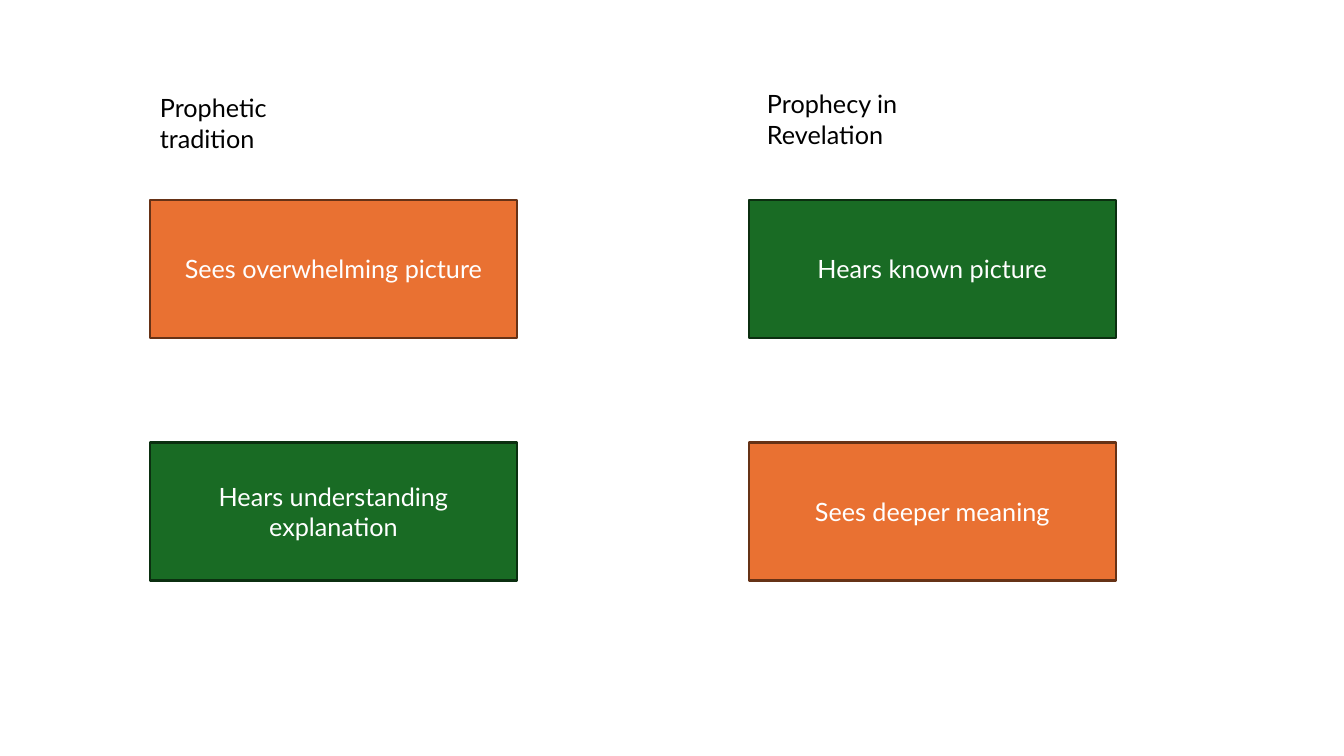
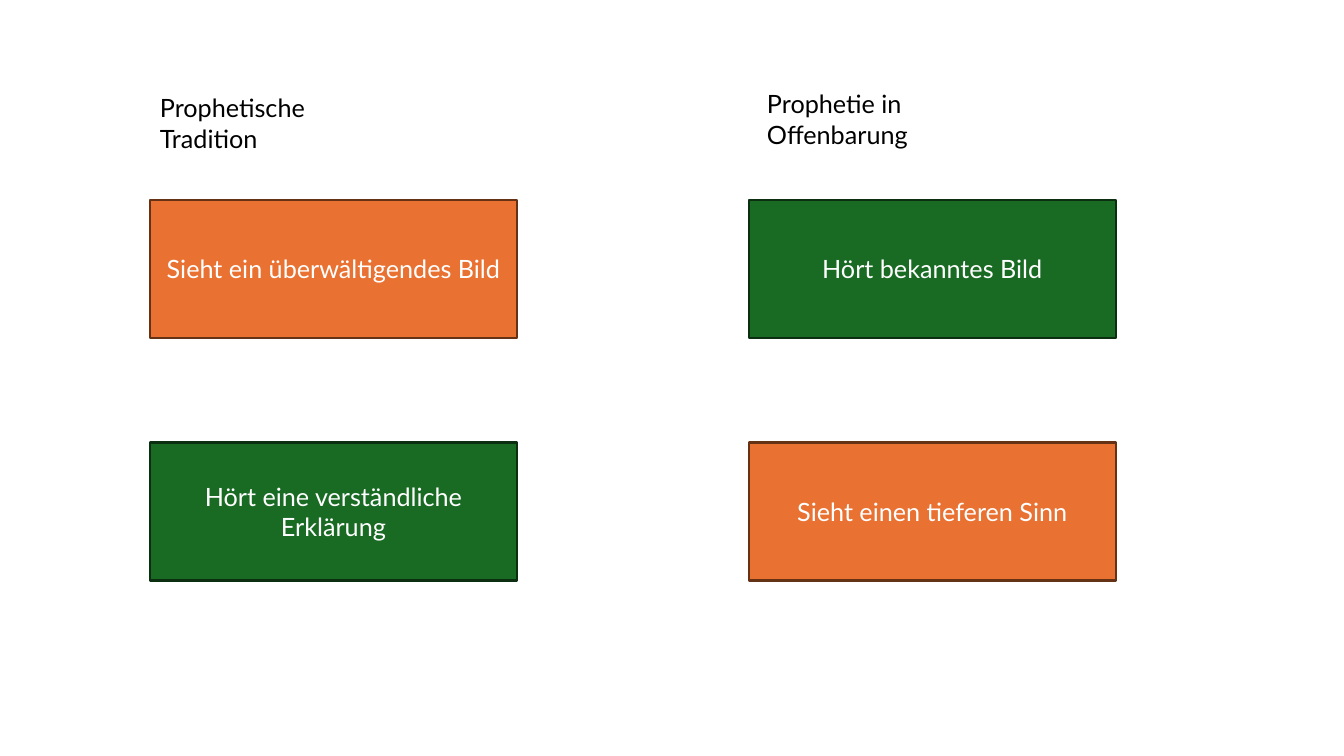
"""Build two slides comparing prophetic tradition with prophecy in Revelation."""
import dataclasses

import pptx
import pptx.dml.color
import pptx.enum.shapes
import pptx.enum.text
import pptx.util

Cm = pptx.util.Cm
RGB = pptx.dml.color.RGBColor.from_string
ALIGN = pptx.enum.text.PP_ALIGN
ANCHOR = pptx.enum.text.MSO_ANCHOR

SLIDES = [
    [
        ("Prophetic tradition", [("sees", "Sees overwhelming picture"), ("hears", "Hears understanding explanation")]),
        ("Prophecy in Revelation", [("hears", "Hears known picture"), ("sees", "Sees deeper meaning")]),
    ],
    [
        ("Prophetische Tradition", [("sees", "Sieht ein überwältigendes Bild"), ("hears", "Hört eine verständliche Erklärung")]),
        ("Prophetie in Offenbarung", [("hears", "Hört bekanntes Bild"), ("sees", "Sieht einen tieferen Sinn")]),
    ],
]


@dataclasses.dataclass(frozen=True)
class Theme:
    font: str = "Lato"
    size: float = 18
    line_width: float = 1.5
    dark_text: str = "000000"
    light_text: str = "FFFFFF"
    sees: tuple = ("E97132", "663216")
    hears: tuple = ("196B24", "0B2F10")


THEME = Theme()
COLUMN_LEFT, COLUMN_STEP = 3.78, 15.09
ROW_TOP, ROW_STEP = 5.03, 6.12
BOX_WIDTH, BOX_HEIGHT = 9.25, 3.48
HEADING_PLACES = [(3.78, 2.21), (19.08, 2.11)]
HEADING_WIDTH, HEADING_HEIGHT = 4.4, 1.78


def write_text(shape, text, *, color, align=ALIGN.LEFT, anchor=ANCHOR.TOP):
    frame = shape.text_frame
    frame.word_wrap = True
    frame.vertical_anchor = anchor
    para = frame.paragraphs[0]
    para.alignment = align
    span = para.add_run()
    span.text = text
    span.font.name = THEME.font
    span.font.size = pptx.util.Pt(THEME.size)
    span.font.color.rgb = RGB(color)


def add_heading(page, column, text):
    left, top = HEADING_PLACES[column]
    box = page.shapes.add_textbox(Cm(left), Cm(top), Cm(HEADING_WIDTH), Cm(HEADING_HEIGHT))
    write_text(box, text, color=THEME.dark_text)


def add_step(page, column, row, sense, text):
    box = page.shapes.add_shape(
        pptx.enum.shapes.MSO_SHAPE.RECTANGLE,
        Cm(COLUMN_LEFT + column * COLUMN_STEP),
        Cm(ROW_TOP + row * ROW_STEP),
        Cm(BOX_WIDTH),
        Cm(BOX_HEIGHT),
    )
    fill, line = getattr(THEME, sense)
    box.shadow.inherit = False
    box.fill.solid()
    box.fill.fore_color.rgb = RGB(fill)
    box.line.color.rgb = RGB(line)
    box.line.width = pptx.util.Pt(THEME.line_width)
    write_text(box, text, color=THEME.light_text, align=ALIGN.CENTER, anchor=ANCHOR.MIDDLE)


def main():
    deck = pptx.Presentation()
    deck.slide_width, deck.slide_height = Cm(33.87), Cm(19.05)
    blank = deck.slide_layouts[6]
    for columns in SLIDES:
        page = deck.slides.add_slide(blank)
        for column, (heading, steps) in enumerate(columns):
            add_heading(page, column, heading)
            for row, (sense, text) in enumerate(steps):
                add_step(page, column, row, sense, text)
    deck.save("out.pptx")


if __name__ == "__main__":
    main()
